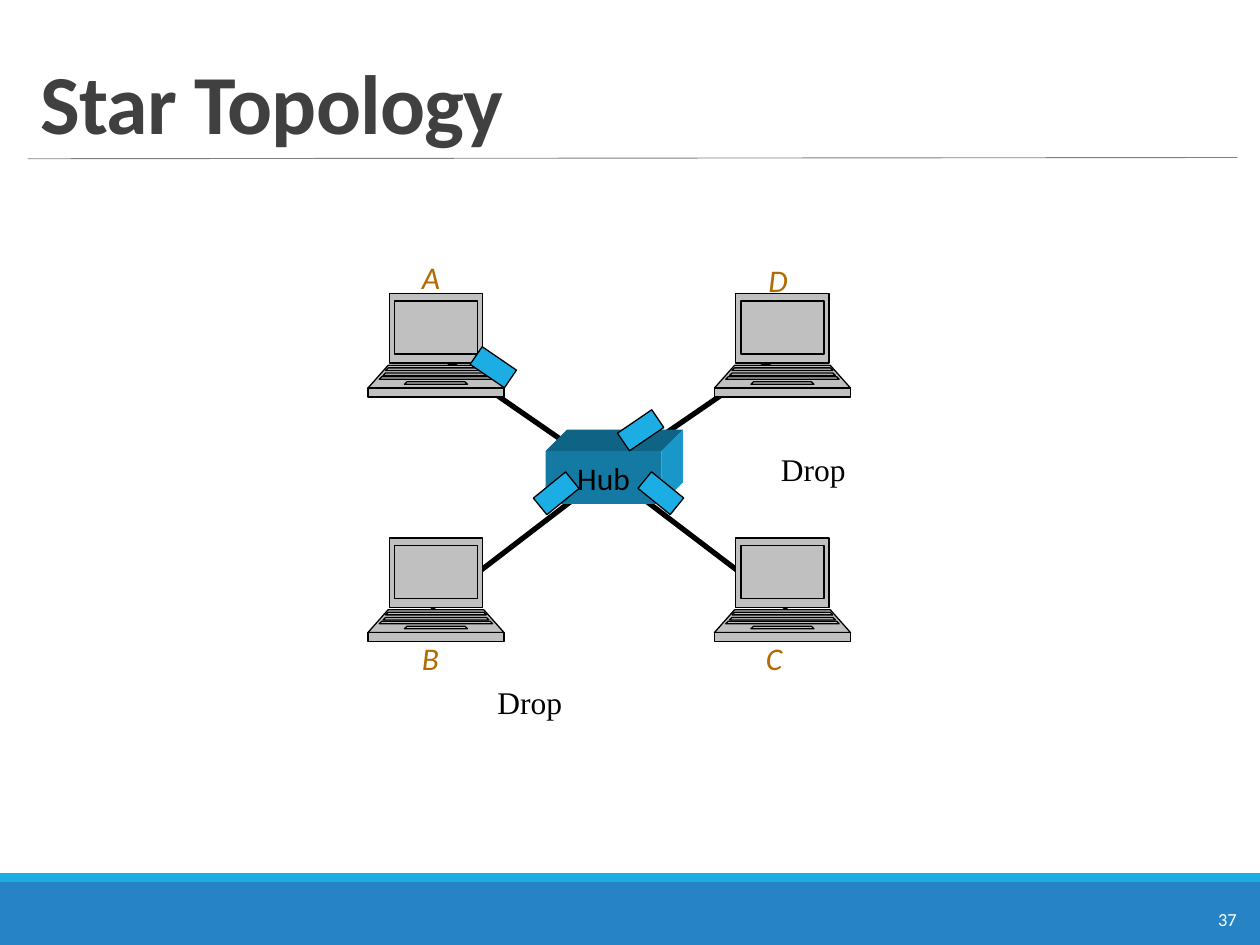
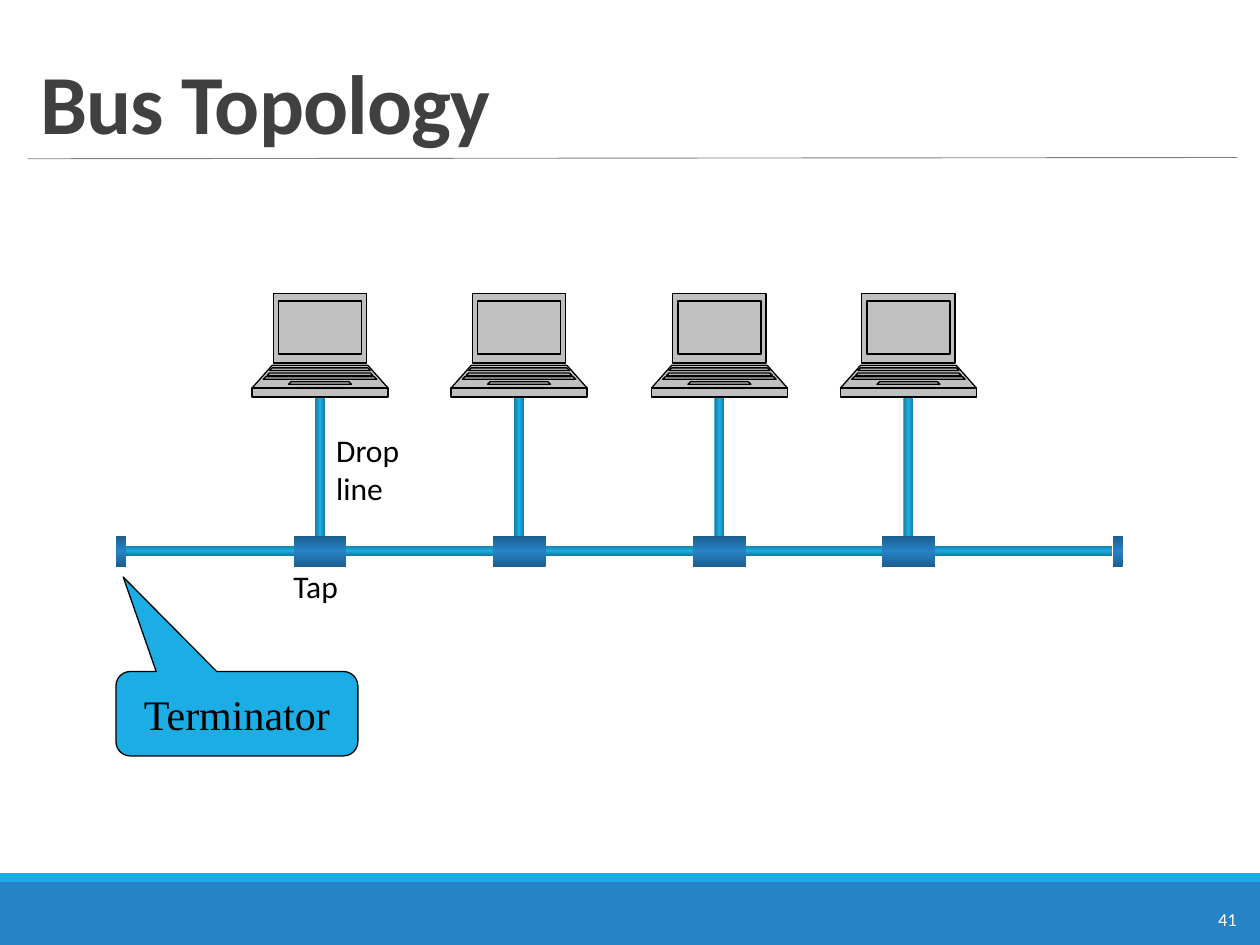
from copy import deepcopy
from dataclasses import dataclass

from lxml import etree
from pptx import Presentation
from pptx.dml.color import RGBColor
from pptx.enum.shapes import MSO_CONNECTOR, MSO_SHAPE
from pptx.enum.text import MSO_ANCHOR, MSO_AUTO_SIZE, PP_ALIGN
from pptx.oxml.ns import qn
from pptx.util import Inches, Pt

RECTANGLE = MSO_SHAPE.RECTANGLE
CALLOUT = MSO_SHAPE.ROUNDED_RECTANGULAR_CALLOUT
STRAIGHT = MSO_CONNECTOR.STRAIGHT
LEFT, CENTER = PP_ALIGN.LEFT, PP_ALIGN.CENTER
TOP, MIDDLE, BOTTOM = MSO_ANCHOR.TOP, MSO_ANCHOR.MIDDLE, MSO_ANCHOR.BOTTOM


@dataclass(frozen=True)
class Theme:
    sans: str = "Calibri"
    serif: str = "Times New Roman"
    black: str = "000000"
    white: str = "FFFFFF"
    title: str = "404040"
    rule: str = "808080"
    blue: str = "2683C6"
    blue_dark: str = "1B5E8E"
    cyan: str = "1CADE4"
    cyan_dark: str = "147CA3"
    hub_front: str = "1479A3"
    hub_top: str = "0F6385"
    hub_side: str = "1A97C9"
    gray: str = "C0C0C0"
    station: str = "B26B02"
    title_size: float = 48
    callout_size: float = 24
    label_size: float = 18
    number_size: float = 10.5
    outline: float = 0.75


THEME = Theme()
LAPTOP_WIDTH = 1.08
# Each part is symmetric: top inset, top, bottom inset, bottom.
LAPTOP_PARTS = [
    (0.17, 0, 0.17, 0.55),
    (0.16, 0.57, 0, 0.75),
    (0, 0.75, 0, 0.82),
    (0.21, 0.06, 0.21, 0.48),
    (0.16, 0.59, 0.14, 0.61),
    (0.31, 0.7, 0.29, 0.72),
    (0.14, 0.63, 0.12, 0.65),
    (0.11, 0.66, 0.09, 0.68),
]


def rgb(value):
    return RGBColor.from_string(value)


def emu_points(points):
    return [(Inches(x), Inches(y)) for x, y in points]


def paint(shape, fill, line=None):
    shape.shadow.inherit = False
    shape.fill.solid()
    shape.fill.fore_color.rgb = rgb(fill)
    if line:
        shape.line.color.rgb = rgb(line)
        shape.line.width = Pt(THEME.outline)
    else:
        shape.line.fill.background()


def add_block(slide, box, fill, line=None, kind=RECTANGLE, rotation=0):
    block = slide.shapes.add_shape(kind, *map(Inches, box))
    paint(block, fill, line)
    block.rotation = rotation
    return block


def add_tube(slide, box, edge, middle, angle):
    """Add a bar shaded from edge to middle and back to edge."""
    tube = add_block(slide, box, middle)
    tube.fill.gradient()
    tube.fill.gradient_angle = angle
    stop_list = tube._element.spPr.find(".//" + qn("a:gsLst"))
    stop_list.append(deepcopy(stop_list[-1]))
    for stop, color, position in zip(
        tube.fill.gradient_stops, (edge, middle, edge), (0, 0.5, 1)
    ):
        stop.color.rgb = rgb(color)
        stop.position = position


def add_line(slide, start, end, color, width):
    line = slide.shapes.add_connector(STRAIGHT, *map(Inches, (*start, *end)))
    line.line.color.rgb = rgb(color)
    line.line.width = Pt(width)
    etree.SubElement(line._element.spPr, qn("a:effectLst"))


def write(shape, text, size, color=THEME.black, face=THEME.sans,
          align=LEFT, anchor=TOP, bold=False, italic=False, wrap=False):
    frame = shape.text_frame
    frame.word_wrap = wrap
    frame.vertical_anchor = anchor
    paragraph = frame.paragraphs[0]
    paragraph.text = text
    paragraph.alignment = align
    font = paragraph.font
    font.name, font.size = face, Pt(size)
    font.bold, font.italic = bold, italic
    font.color.rgb = rgb(color)
    return paragraph


def add_label(slide, box, text, size=THEME.label_size, **style):
    label = slide.shapes.add_textbox(*map(Inches, box))
    write(label, text, size, **style)


def add_polygon(slide, points, fill):
    start, *rest = emu_points(points)
    builder = slide.shapes.build_freeform(*start)
    builder.add_line_segments(rest, close=True)
    paint(builder.convert_to_shape(), fill)


def split_contours(shape):
    """Give each contour its own path, so overlaps stay filled."""
    path = shape._element.spPr.find(".//" + qn("a:path"))
    path_list = path.getparent()
    for step in list(path):
        if step.tag == qn("a:moveTo"):
            contour = etree.SubElement(path_list, qn("a:path"), dict(path.attrib))
        contour.append(step)
    path_list.remove(path)


def add_laptop(slide, left, top):
    builder = None
    for top_inset, upper, bottom_inset, lower in LAPTOP_PARTS:
        right = left + LAPTOP_WIDTH
        start, *rest = emu_points([
            (left + top_inset, top + upper),
            (right - top_inset, top + upper),
            (right - bottom_inset, top + lower),
            (left + bottom_inset, top + lower),
        ])
        if builder is None:
            builder = slide.shapes.build_freeform(*start)
        else:
            builder.move_to(*start)
        builder.add_line_segments(rest, close=True)
    laptop = builder.convert_to_shape()
    split_contours(laptop)
    paint(laptop, THEME.gray, THEME.black)


def add_hub(slide, left, top, width, height, depth):
    right, bottom = left + width, top + height
    back_right, back_top = right + depth, top - depth
    add_polygon(slide, [(left, top), (left + depth, back_top),
                        (back_right, back_top), (right, top)], THEME.hub_top)
    add_polygon(slide, [(right, top), (back_right, back_top),
                        (back_right, bottom - depth), (right, bottom)],
                THEME.hub_side)
    front = add_block(slide, (left, top, width, height), THEME.hub_front)
    write(front, "Hub", THEME.label_size, align=CENTER, anchor=MIDDLE)


def add_topology_slide(deck, title_text, number):
    slide = deck.slides.add_slide(deck.slide_layouts[5])
    add_block(slide, (0, 7, 10, 0.5), THEME.blue)
    add_block(slide, (0, 6.93, 10, 0.07), THEME.cyan)
    add_line(slide, (0.22, 1.26), (9.82, 1.25), THEME.rule, 0.5)
    add_label(slide, (9.57, 7.16, 0.37, 0.28), number,
              THEME.number_size, color=THEME.white)

    title = slide.shapes.title
    title.left, title.top, title.width, title.height = map(
        Inches, (0.22, 0.25, 9.6, 1))
    heading = write(title, title_text, THEME.title_size, THEME.title,
                    anchor=BOTTOM, bold=True, wrap=True)
    heading.line_spacing = 0.85
    heading.runs[0]._r.get_or_add_rPr().set("spc", "-50")
    title.text_frame.auto_size = MSO_AUTO_SIZE.NONE
    return slide


def build_star(deck):
    slide = add_topology_slide(deck, "Star Topology", "37")
    hub_center = (4.83, 3.75)
    for station_end in [(3.5, 2.83), (6.17, 2.83), (3.42, 4.83), (6.25, 4.83)]:
        add_line(slide, hub_center, station_end, THEME.black, 3)
    for left in (2.92, 5.67):
        for top in (2.33, 4.27):
            add_laptop(slide, left, top)
    add_hub(slide, 4.33, 3.58, 0.92, 0.42, 0.17)

    for left, top, angle in [(3.75, 2.83, 34.3), (4.92, 3.33, -34.3),
                             (4.25, 3.83, -39.1), (5.08, 3.83, 39.1)]:
        add_block(slide, (left, top, 0.33, 0.17), THEME.cyan, THEME.black,
                  rotation=angle)
    for station, left, top, width in [("A", 3.25, 2, 0.35), ("D", 6, 2.02, 0.37),
                                      ("B", 3.25, 5.02, 0.35),
                                      ("C", 5.98, 5.02, 0.35)]:
        add_label(slide, (left, top, width, 0.4), station,
                  color=THEME.station, italic=True)
    for left, top in [(3.85, 5.37), (6.1, 3.52)]:
        add_label(slide, (left, top, 0.73, 0.4), "Drop", face=THEME.serif)


def build_bus(deck):
    slide = add_topology_slide(deck, "Bus Topology", "41")
    cable = (THEME.cyan_dark, THEME.cyan)
    fitting = (THEME.blue_dark, THEME.blue)
    add_tube(slide, (1, 4.33, 7.83, 0.08), *cable, 90)
    for station_left in (2, 3.58, 5.17, 6.67):
        add_tube(slide, (station_left + 0.5, 2.92, 0.08, 1.5), *cable, 0)
        add_tube(slide, (station_left + 0.33, 4.25, 0.42, 0.25), *fitting, 90)
        add_laptop(slide, station_left, 2.33)
    for terminator_left in (0.92, 8.83):
        add_tube(slide, (terminator_left, 4.25, 0.08, 0.25), *fitting, 90)

    add_label(slide, (2.57, 3.37, 0.74, 0.7), "Drop\nline")
    add_label(slide, (2.23, 4.45, 0.62, 0.4), "Tap")
    terminator_note = add_block(slide, (0.92, 5.33, 1.92, 0.67), THEME.cyan,
                                THEME.black, CALLOUT)
    for index, value in enumerate((-0.467, -1.625, 0.167)):
        terminator_note.adjustments[index] = round(value, 2)
    write(terminator_note, "Terminator", THEME.callout_size,
          face=THEME.serif, align=CENTER, wrap=True)
    terminator_note.text_frame.margin_top = Inches(0.1)


def main():
    deck = Presentation()
    deck.slide_width, deck.slide_height = Inches(10), Inches(7.5)
    build_star(deck)
    build_bus(deck)
    deck.save("out.pptx")


if __name__ == "__main__":
    main()
